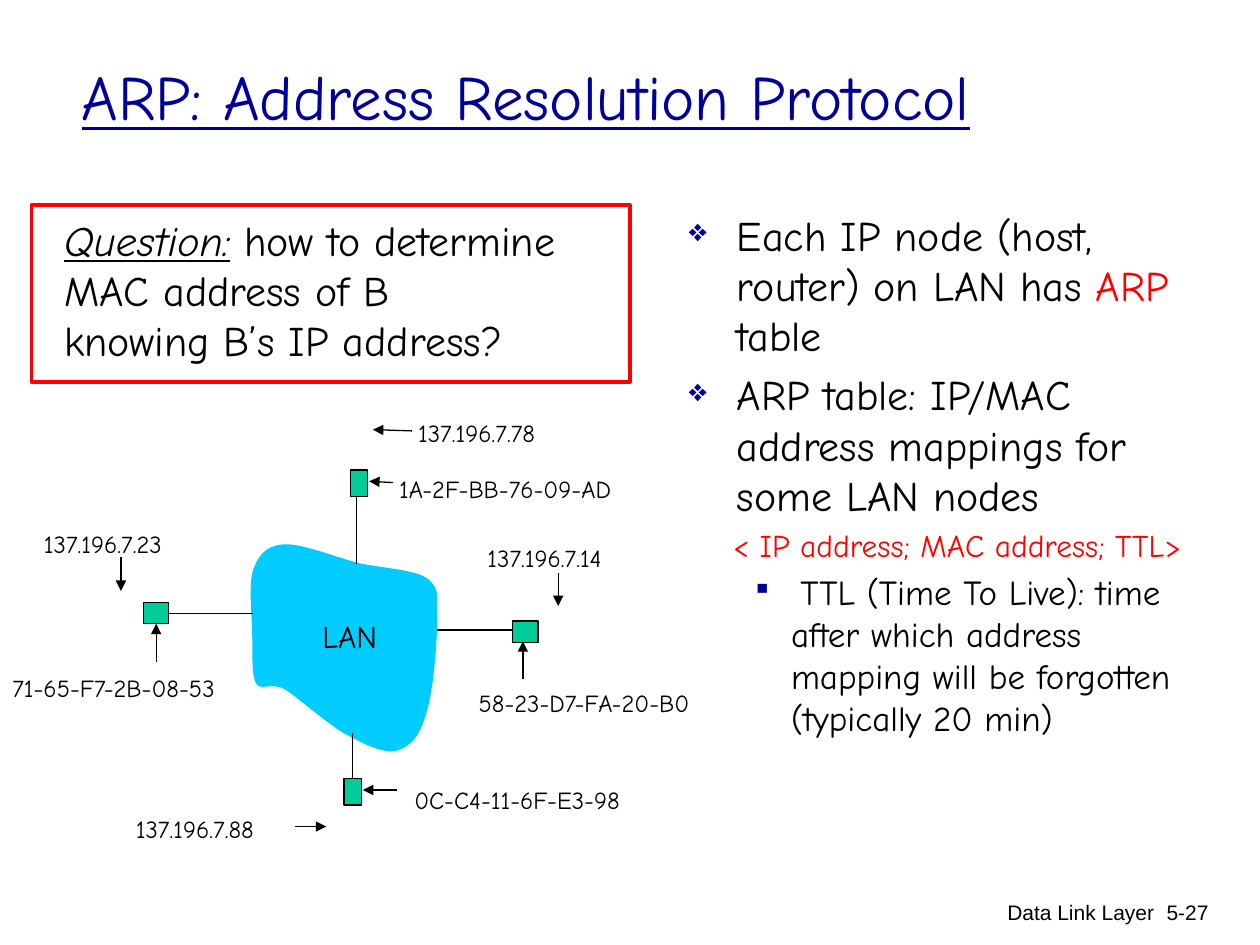
from lxml import etree
from pptx import Presentation
from pptx.dml.color import RGBColor
from pptx.enum.shapes import MSO_CONNECTOR, MSO_SHAPE
from pptx.enum.text import MSO_ANCHOR, PP_ALIGN
from pptx.oxml.ns import qn
from pptx.util import Inches, Pt

RECT = MSO_SHAPE.RECTANGLE
LINE = MSO_CONNECTOR.STRAIGHT
LEFT, RIGHT = PP_ALIGN.LEFT, PP_ALIGN.RIGHT
TOP, MIDDLE = MSO_ANCHOR.TOP, MSO_ANCHOR.MIDDLE
COLORS = {"ink": "000000", "navy": "000099", "red": "FF0000",
          "node": "00CC99", "cloud": "00CCFF"}
RGB = {name: RGBColor.from_string(code) for name, code in COLORS.items()}

deck = Presentation()
deck.slide_width, deck.slide_height = Inches(10), Inches(7.5)
slide = deck.slides.add_slide(deck.slide_layouts[6])
shapes = slide.shapes


def write(text, at=None, par=None, size=14, color="ink", font="Comic Neue",
          italic=False, under=False, align=LEFT, anchor=TOP, wrap=False):
    frame = None
    if at:
        frame = shapes.add_textbox(*map(Inches, at)).text_frame
        frame.word_wrap = wrap
        frame.vertical_anchor = anchor
        par = frame.paragraphs[0]
        par.alignment = align
    run = par.add_run()
    run.text = text
    run.font.size = Pt(size)
    run.font.name = font
    run.font.color.rgb = RGB[color]
    run.font.italic = italic
    run.font.underline = under
    return frame


def link(x1, y1, x2, y2, arrow=False):
    line = shapes.add_connector(LINE, *map(Inches, (x1, y1, x2, y2)))
    line.line.color.rgb = RGB["ink"]
    line.line.width = Pt(0.75)
    if arrow:
        etree.SubElement(line.line._get_or_add_ln(), qn("a:tailEnd"), type="triangle")
    etree.SubElement(line._element.spPr, qn("a:effectLst"))


for text, left, width in [("Data Link Layer", 6.09, 3.17), ("5-27", 8.95, 0.74)]:
    write(text, at=(left, 7.09, width, 0.5), size=12, font="Arial",
          align=RIGHT, wrap=True)
write("ARP: Address Resolution Protocol", at=(0.55, 0.26, 8.96, 0.99), size=36,
      color="navy", under=True, anchor=MIDDLE, wrap=True)

body = write("Each IP node (host, router) on LAN has ",
             at=(5.37, 1.61, 4.36, 5.08), size=24, wrap=True)
write("ARP ", par=body.paragraphs[0], size=24, color="red")
write("table", par=body.paragraphs[0], size=24)
write("ARP table: IP/MAC address mappings for some LAN nodes",
      par=body.add_paragraph(), size=24)
write("< IP address; MAC address; TTL>", par=body.add_paragraph(),
      size=18, color="red")
last = body.add_paragraph()
last.level = 1
write(" ", par=last, size=16)
write("TTL (Time To Live): time after which address mapping will be forgotten "
      "(typically 20 min)", par=last, size=20)

styles = [(0.38, -0.38, "❖", 75, 0), (0.38, -0.38, "❖", 75, 4.8),
          (0.35, 0, None, 100, 3.6), (0.81, -0.31, "▪", 100, 4)]
for par, (margin, indent, mark, scale, gap) in zip(body.paragraphs, styles):
    props = par._p.get_or_add_pPr()
    props.set("marL", str(Inches(margin)))
    props.set("indent", str(Inches(indent)))
    if mark:
        tint = etree.SubElement(props, qn("a:buClr"))
        etree.SubElement(tint, qn("a:srgbClr"), val=COLORS["navy"])
        etree.SubElement(props, qn("a:buSzPct"), val=str(scale * 1000))
        etree.SubElement(props, qn("a:buChar"), char=mark)
    else:
        etree.SubElement(props, qn("a:buNone"))
    par.space_before = Pt(gap)

ask = write("Question:", at=(0.41, 1.65, 4.52, 1.3), size=24, italic=True, under=True)
write(" how to determine", par=ask.paragraphs[0], size=24)
for text in ["MAC address of B", "knowing B’s IP address?"]:
    write(text, par=ask.add_paragraph(), size=24)
box = shapes.add_shape(RECT, *map(Inches, (0.25, 1.63, 4.75, 1.4)))
box.shadow.inherit = False
box.fill.background()
box.line.color.rgb = RGB["red"]
box.line.width = Pt(2.25)

start = (2.25, 4.32)
curves = [
    ((2.11, 4.33), (2.05, 4.41), (2.01, 4.52)),
    ((1.97, 4.64), (2, 4.86), (2, 5.01)),
    ((2.01, 5.16), (1.99, 5.34), (2.03, 5.42)),
    ((2.07, 5.49), (2.14, 5.41), (2.26, 5.47)),
    ((2.37, 5.54), (2.58, 5.73), (2.73, 5.82)),
    ((2.88, 5.9), (3.03, 5.98), (3.14, 5.96)),
    ((3.25, 5.93), (3.33, 5.85), (3.38, 5.67)),
    ((3.44, 5.5), (3.47, 5.09), (3.47, 4.91)),
    ((3.47, 4.73), (3.49, 4.67), (3.39, 4.59)),
    ((3.29, 4.52), (3.04, 4.51), (2.85, 4.47)),
    ((2.66, 4.42), (2.39, 4.31), start),
]
points, p0, steps = [], start, 12
for p1, p2, p3 in curves:
    for step in range(1, steps + 1):
        t = step / steps
        u = 1 - t
        points.append(tuple(
            Inches(u**3 * a + 3 * u * u * t * b + 3 * u * t * t * c + t**3 * d)
            for a, b, c, d in zip(p0, p1, p2, p3)))
    p0 = p3
path = shapes.build_freeform(*map(Inches, start), scale=1.0)
path.add_line_segments(points, close=True)
cloud = path.convert_to_shape()
cloud.shadow.inherit = False
cloud.fill.solid()
cloud.fill.fore_color.rgb = RGB["cloud"]
cloud.line.fill.background()

for at in [(4.07, 4.93, 0.2, 0.17), (1.14, 4.78, 0.2, 0.17),
           (2.78, 3.73, 0.14, 0.21), (2.73, 6.18, 0.14, 0.21)]:
    node = shapes.add_shape(RECT, *map(Inches, at))
    node.shadow.inherit = False
    node.fill.solid()
    node.fill.fore_color.rgb = RGB["node"]
    node.line.color.rgb = RGB["ink"]
    node.line.width = Pt(0.75)

for ends in [(1.33, 4.87, 2.01, 4.87), (2.83, 3.94, 2.83, 4.48),
             (4.07, 5, 3.47, 5), (2.8, 6.18, 2.8, 5.82)]:
    link(*ends)

write("LAN", at=(2.46, 4.85, 0.68, 0.4), size=18)
labels = [
    ("1A-2F-BB-76-09-AD", 3.07, 3.71, 2.08, (3.12, 3.83, 2.93, 3.82)),
    ("58-23-D7-FA-20-B0", 3.7, 5.41, 2.08, (4.15, 5.39, 4.15, 5.09)),
    ("0C-C4-11-6F-E3-98", 3.19, 6.18, 1.96, (3.15, 6.27, 2.88, 6.27)),
    ("71-65-F7-2B-08-53", 0, 5.29, 2, (1.24, 5.25, 1.24, 4.95)),
    ("137.196.7.23", 0.25, 4.15, 1.35, (0.96, 4.42, 0.96, 4.69)),
    ("137.196.7.78", 3.22, 3.27, 1.35, (3.27, 3.42, 2.96, 3.41)),
    ("137.196.7.14", 3.77, 4.26, 1.32, (4.43, 4.55, 4.43, 4.81)),
    ("137.196.7.88", 0.98, 6.41, 1.35, (2.34, 6.56, 2.59, 6.56)),
]
for text, left, top, width, ends in labels:
    write(text, at=(left, top, width, 0.33))
    link(*ends, arrow=True)

deck.save("out.pptx")
